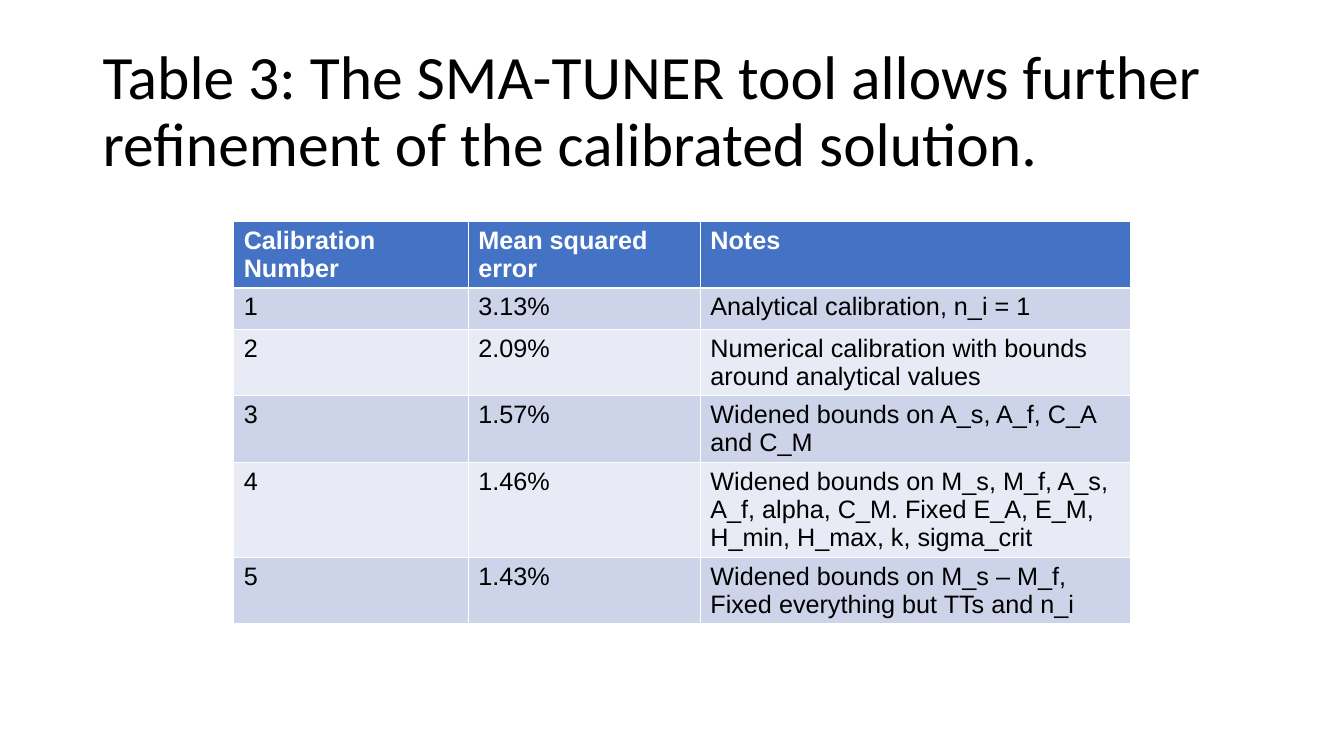
"""Build a slide with a table of calibration errors."""
from pptx import Presentation
from pptx.dml.color import RGBColor
from pptx.enum.text import MSO_ANCHOR, PP_ALIGN
from pptx.util import Cm, Pt


def style(para, font, size, color, bold=False):
    for run in para.runs:
        run.font.name = font
        run.font.size = Pt(size)
        run.font.bold = bold
        run.font.color.rgb = RGBColor.from_string(color)


rows = [
    ("Calibration Number", "Mean squared error", "Notes"),
    ("1", "3.13%", "Analytical calibration, n_i = 1"),
    ("2", "2.09%", "Numerical calibration with bounds around analytical values"),
    ("3", "1.57%", "Widened bounds on A_s, A_f, C_A and C_M"),
    ("4", "1.46%", "Widened bounds on M_s, M_f, A_s, A_f, alpha, C_M. "
                   "Fixed E_A, E_M, H_min, H_max, k, sigma_crit"),
    ("5", "1.43%", "Widened bounds on M_s – M_f, Fixed everything but TTs and n_i"),
]
widths = [5.91, 5.85, 10.84]
bands = ["E8EBF5", "CDD4EA"]

deck = Presentation()
deck.slide_width, deck.slide_height = Cm(33.87), Cm(19.05)
slide = deck.slides.add_slide(deck.slide_layouts[5])

title = slide.shapes.title
title.left, title.top, title.width, title.height = Cm(2.33), Cm(1.01), Cm(29.21), Cm(3.68)
frame = title.text_frame
frame.text = "Table 3: The SMA-TUNER tool allows further refinement of the calibrated solution."
frame.word_wrap = True
frame.vertical_anchor = MSO_ANCHOR.MIDDLE
para = frame.paragraphs[0]
para.alignment = PP_ALIGN.LEFT
para.line_spacing = 0.9
style(para, "Calibri", 44, "000000")

table = slide.shapes.add_table(
    len(rows), len(widths), Cm(5.89), Cm(5.58), Cm(sum(widths)), Cm(5.63)).table
for col, width in zip(table.columns, widths):
    col.width = Cm(width)
for r, texts in enumerate(rows):
    head = r == 0
    table.rows[r].height = Cm(0.43 if head else 1.04)
    for c, text in enumerate(texts):
        cell = table.cell(r, c)
        cell.text_frame.text = text
        cell.fill.solid()
        cell.fill.fore_color.rgb = RGBColor.from_string("4472C4" if head else bands[r % 2])
        style(cell.text_frame.paragraphs[0], "Arial", 18, "FFFFFF" if head else "000000", head)

deck.save("out.pptx")
